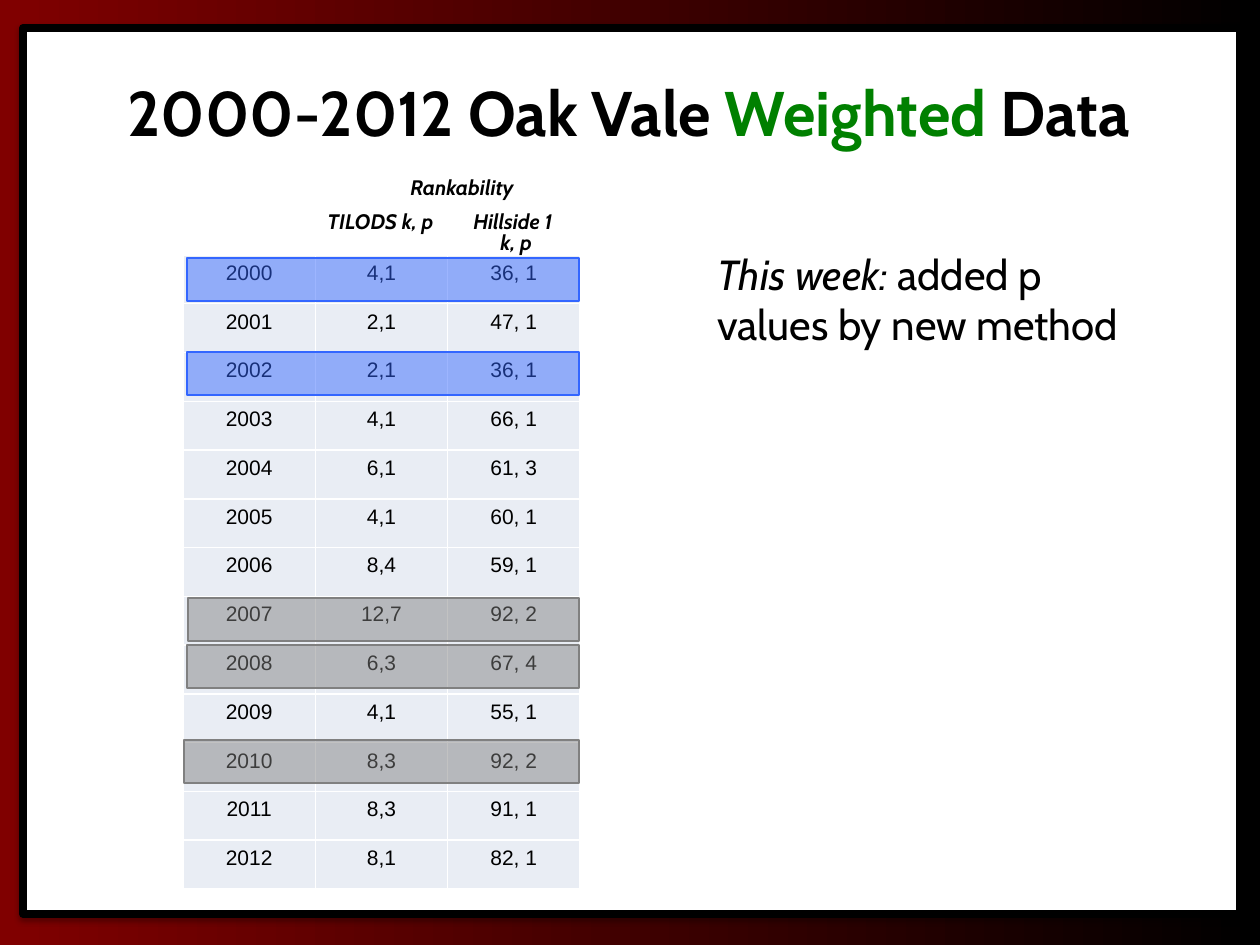
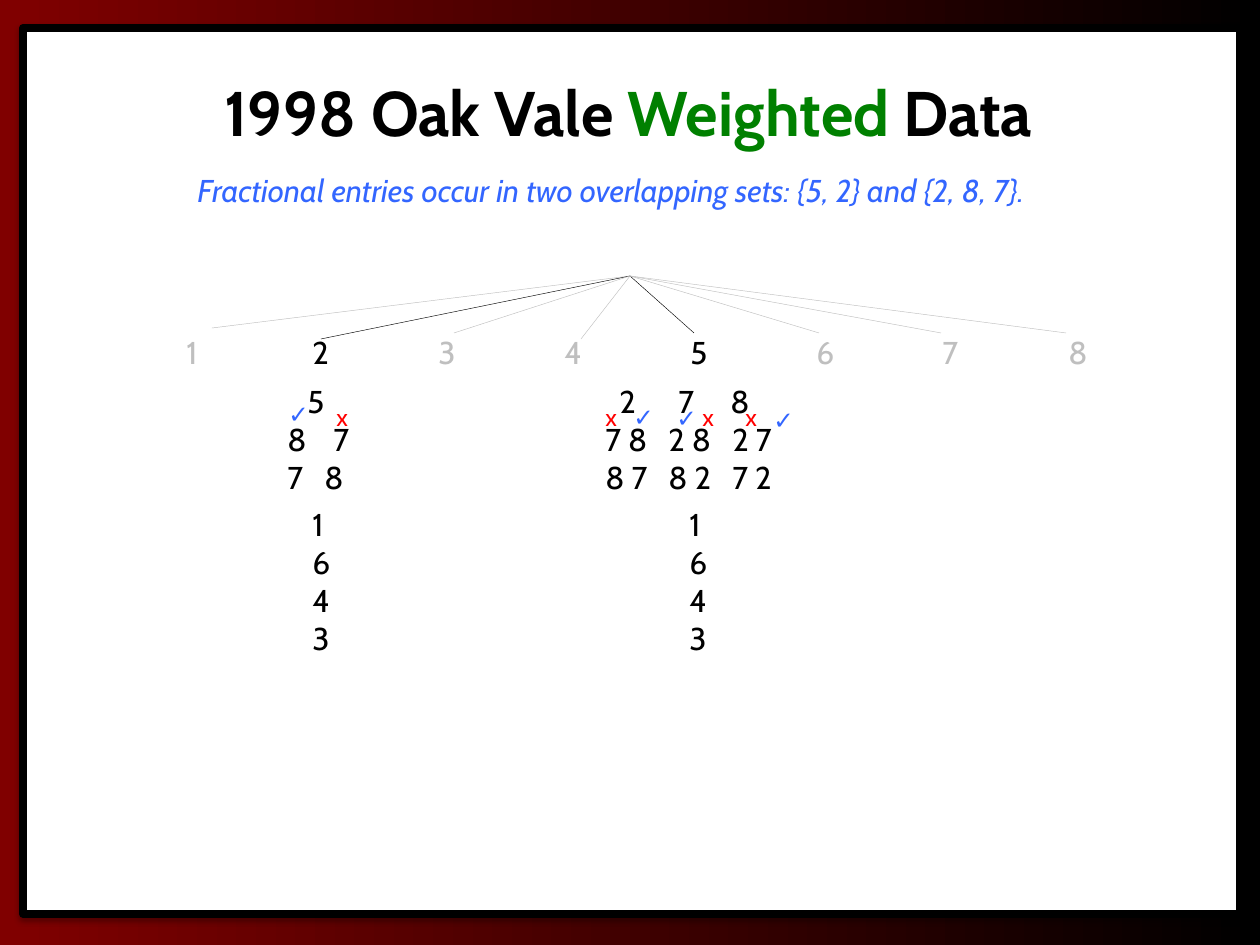
import lxml.etree
import pptx
import pptx.dml.color
import pptx.enum.dml
import pptx.enum.shapes
import pptx.enum.text
import pptx.oxml
import pptx.oxml.ns
import pptx.util

RGB = pptx.dml.color.RGBColor
BLACK = RGB(0x00, 0x00, 0x00)
WHITE = RGB(0xFF, 0xFF, 0xFF)
MAROON = RGB(0x80, 0x00, 0x00)
GREEN = RGB(0x00, 0x80, 0x00)
BLUE = RGB(0x33, 0x66, 0xFF)
RED = RGB(0xFF, 0x00, 0x00)
GRAY = RGB(0x80, 0x80, 0x80)
PALE_GRAY = RGB(0xBF, 0xBF, 0xBF)
CELL_FILL = RGB(0xE9, 0xED, 0xF4)

CENTER = pptx.enum.text.PP_ALIGN.CENTER
MIDDLE = pptx.enum.text.MSO_ANCHOR.MIDDLE
RECTANGLE = pptx.enum.shapes.MSO_SHAPE.RECTANGLE
HEADING = {"size": 12, "bold": True, "italic": True}

RANKABILITY = [
    ("2000", "4,1", "36, 1"), ("2001", "2,1", "47, 1"), ("2002", "2,1", "36, 1"),
    ("2003", "4,1", "66, 1"), ("2004", "6,1", "61, 3"), ("2005", "4,1", "60, 1"),
    ("2006", "8,4", "59, 1"), ("2007", "12,7", "92, 2"), ("2008", "6,3", "67, 4"),
    ("2009", "4,1", "55, 1"), ("2010", "8,3", "92, 2"), ("2011", "8,3", "91, 1"),
    ("2012", "8,1", "82, 1"),
]
HIGHLIGHTS = [(187, 258, BLUE), (187, 352, BLUE), (188, 598, GRAY), (187, 645, GRAY), (184, 740, GRAY)]
ROOT = (630, 276)
BRANCH_ENDS = [(212, 328), (321, 339), (454, 333), (581, 339),
               (694, 333), (819, 333), (941, 333), (1066, 333)]
OPEN_BRANCHES = (2, 5)
CROSSES = [(324, 396), (593, 396), (690, 396), (733, 396)]
CHECKS = [(276, 393), (621, 396), (664, 397), (761, 399)]


def px(n):
    return pptx.util.Emu(round(n * 914400 / 126))


def sub(parent, tag, **attrs):
    el = lxml.etree.SubElement(parent, pptx.oxml.ns.qn(tag))
    for key, value in attrs.items():
        el.set(key, str(value))
    return el


def add_run(p, text, size=18, name="Cabin", color=BLACK, **fmt):
    r = p.add_run()
    r.text = text
    r.font.color.rgb = color
    for key, value in dict(fmt, size=pptx.util.Pt(size), name=name).items():
        setattr(r.font, key, value)


def add_text(slide, box, paragraphs, tabs=(), anchor=None, align=None, spacing=None, **base):
    tf = slide.shapes.add_textbox(*map(px, box)).text_frame
    tf.word_wrap = True
    if anchor:
        tf.vertical_anchor = anchor
    else:
        tf.auto_size = pptx.enum.text.MSO_AUTO_SIZE.SHAPE_TO_FIT_TEXT
    for i, runs in enumerate(paragraphs):
        p = tf.paragraphs[0] if i == 0 else tf.add_paragraph()
        p.alignment, p.line_spacing = align, spacing
        if tabs:
            tab_list = sub(p._p.get_or_add_pPr(), "a:tabLst")
            for stop in tabs[i]:
                sub(tab_list, "a:tab", pos=px(stop), algn="l")
        for text, fmt in ([(runs, {})] if isinstance(runs, str) else runs):
            add_run(p, text, **{**base, **fmt})


def add_rect(slide, box, fill, line, width):
    sp = slide.shapes.add_shape(RECTANGLE, *map(px, box))
    sp.shadow.inherit = False
    sp.fill.solid()
    sp.fill.fore_color.rgb = fill
    sp.line.color.rgb = line
    sp.line.width = pptx.util.Pt(width)
    return sp


def add_frame(slide):
    sp = add_rect(slide, (23, 28, 1217, 886), WHITE, BLACK, 4.5)
    effects = sp._element.spPr.find(pptx.oxml.ns.qn("a:effectLst"))
    shadow = sub(effects, "a:outerShdw", blurRad=pptx.util.Pt(3.1), dist=pptx.util.Pt(1.8),
                 dir=90 * 60000, rotWithShape=0)
    sub(sub(shadow, "a:srgbClr", val=BLACK), "a:alpha", val=35000)


def add_highlight(slide, left, top, color):
    sp = add_rect(slide, (left, top, 579 - left, 43), color, color, 0.75)
    srgb = sp._element.spPr.find(".//" + pptx.oxml.ns.qn("a:srgbClr"))
    sub(srgb, "a:alpha", val=48000)


def add_branch(slide, end, color):
    line = slide.shapes.add_connector(pptx.enum.shapes.MSO_CONNECTOR.STRAIGHT,
                                      *map(px, ROOT + end))
    line.line.color.rgb = color
    line.line.width = pptx.util.Pt(0.25)
    sub(line._element.spPr, "a:effectLst")


def add_data_table(slide, box, rows):
    table = slide.shapes.add_table(len(rows), len(rows[0]), *map(px, box)).table
    table.first_row = table.horz_banding = False
    for row, values in zip(table.rows, rows):
        for cell, value in zip(row.cells, values):
            p = cell.text_frame.paragraphs[0]
            p.alignment = CENTER
            add_run(p, value, size=12, name="Arial")
            tc_pr = cell._tc.get_or_add_tcPr()
            for side in ("a:lnL", "a:lnR", "a:lnT", "a:lnB"):
                ln = sub(tc_pr, side, w=pptx.util.Pt(1))
                sub(sub(ln, "a:solidFill"), "a:srgbClr", val=WHITE)
            cell.fill.solid()
            cell.fill.fore_color.rgb = CELL_FILL


def set_background(prs):
    fill = prs.slide_master.background.fill
    fill.gradient()
    fill.gradient_angle = 0
    for stop, color, position in zip(fill.gradient_stops, (MAROON, BLACK), (0, 1)):
        stop.color.rgb = color
        stop.position = position


def new_slide(prs, years):
    slide = prs.slides.add_slide(prs.slide_layouts[6])
    add_frame(slide)
    title = [(years + " Oak Vale ", {}), ("Weighted ", {"color": GREEN}), ("Data", {})]
    add_text(slide, (32, 32, 1193, 158), [title], anchor=MIDDLE, align=CENTER, size=36, bold=True)
    return slide


def build_rankability(prs):
    slide = new_slide(prs, "2000-2012")
    add_data_table(slide, (183, 255, 397, 634), RANKABILITY)
    add_text(slide, (315, 178, 426, 73), ["TILODS k, p\tHillside 1"], tabs=[[146]],
             anchor=MIDDLE, spacing=1.5, **HEADING)
    for box, text in (((398, 159, 163, 44), "Rankability"), ((488, 199, 123, 73), "k, p")):
        add_text(slide, box, [text], anchor=MIDDLE, spacing=1.5, **HEADING)
    for left, top, color in HIGHLIGHTS:
        add_highlight(slide, left, top, color)
    note = [("This week: ", {"italic": True}), ("added p values by new method", {})]
    add_text(slide, (705, 242, 441, 115), [note], size=24)


def build_tree(prs):
    slide = new_slide(prs, "1998")
    add_text(slide, (185, 165, 916, 50),
             ["Fractional entries occur in two overlapping sets: {5, 2} and {2, 8, 7}."],
             color=BLUE, italic=True)
    nodes = []
    for n, end in enumerate(BRANCH_ENDS, 1):
        color = BLACK if n in OPEN_BRANCHES else PALE_GRAY
        add_branch(slide, end, color)
        nodes.append((str(n) if n == 1 else f"\t{n}", {"color": color}))
    add_text(slide, (174, 327, 958, 50), [nodes], tabs=[[126 * i for i in range(1, 8)]])
    add_text(slide, (275, 376, 121, 127), ["\t5", "8\t7", "7\t8"], tabs=[[20], [46], [37]])
    add_text(slide, (593, 376, 226, 127), ["\t2\t7\t8", "7 8\t2 8\t2 7", "8 7\t8 2\t7 2"],
             tabs=[[14, 73, 125], [63, 127], [63, 127]])
    for left in (300, 677):
        add_text(slide, (left, 499, 74, 165), list("1643"))
    for spots, mark, name, color in ((CROSSES, "x", "Cabin", RED), (CHECKS, "✓", "Arial", BLUE)):
        for left, top in spots:
            add_text(slide, (left, top, 74, 43), [mark], size=14, name=name, color=color)


def main():
    prs = pptx.Presentation()
    prs.slide_width, prs.slide_height = px(1260), px(945)
    set_background(prs)
    build_rankability(prs)
    build_tree(prs)
    prs.save("out.pptx")


if __name__ == "__main__":
    main()
